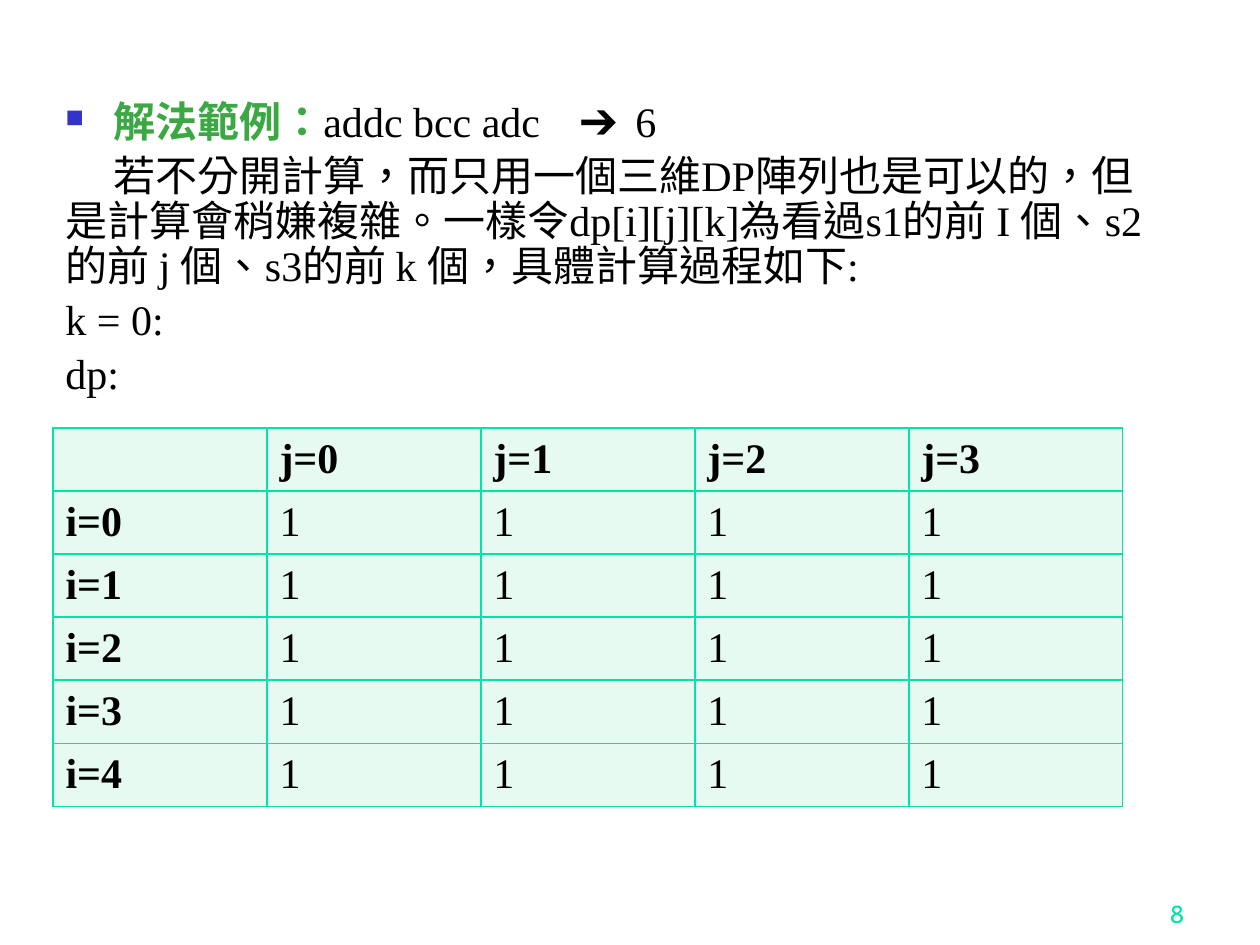
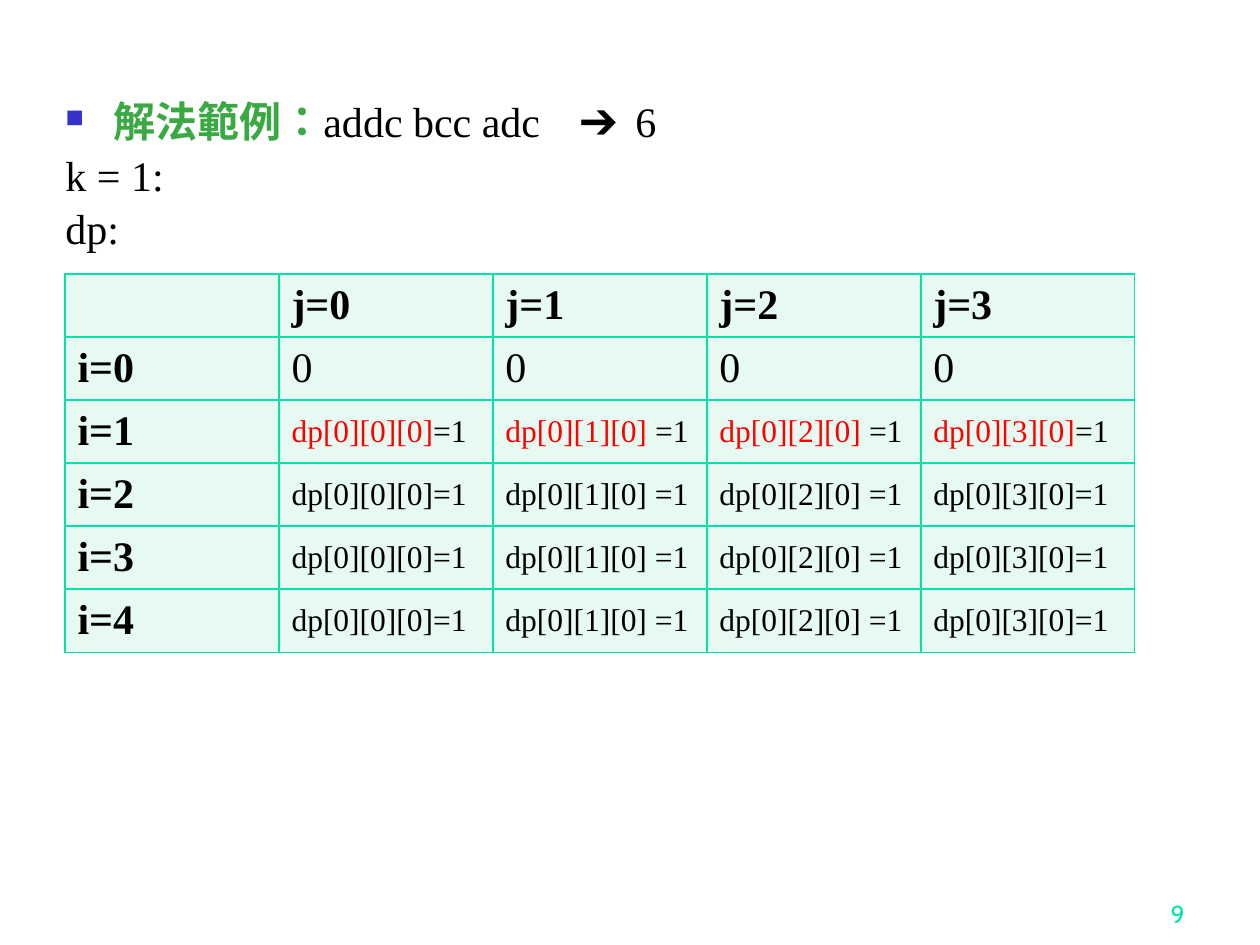
from dataclasses import dataclass

from lxml import etree
from pptx import Presentation
from pptx import util as u
from pptx.dml.color import RGBColor
from pptx.enum import lang, text
from pptx.oxml import ns

EMU_PER_PX = 914400 / 126


@dataclass(frozen=True)
class Theme:
    body_font: str = "Times New Roman"
    number_font: str = "Cabin"
    body_size: int = 24
    formula_size: int = 18
    number_size: int = 14
    ink: str = "000000"
    heading: str = "3BA943"
    bullet: str = "3333CC"
    accent: str = "00E4A8"
    cell: str = "E7FAF1"
    highlight: str = "FF0000"


THEME = Theme()


def px(length):
    return u.Emu(round(length * EMU_PER_PX))


def style_font(font, size, color=THEME.ink, bold=False, name=THEME.body_font):
    font.name = name
    font.size = u.Pt(size)
    font.bold = bold
    font.color.rgb = RGBColor.from_string(color)


def add_element(parent, tag, **attributes):
    return etree.SubElement(parent, ns.qn(tag), attributes)


def add_text_frame(slide, left, top, width, height):
    frame = slide.shapes.add_textbox(px(left), px(top), px(width), px(height)).text_frame
    frame.word_wrap = True
    return frame


def add_run(paragraph, wording):
    run = paragraph.add_run()
    run.text = wording
    run.font.language_id = lang.MSO_LANGUAGE_ID.TRADITIONAL_CHINESE
    return run


def add_bullet(paragraph):
    properties = paragraph._p.get_or_add_pPr()
    properties.set("marL", str(px(48)))
    properties.set("indent", str(-px(48)))
    color = add_element(properties, "a:buClr")
    add_element(color, "a:srgbClr", val=THEME.bullet)
    add_element(properties, "a:buSzPct", val="60000")
    add_element(properties, "a:buChar", char="■")


def add_example_heading(frame):
    paragraph = frame.paragraphs[0]
    add_bullet(paragraph)
    paragraph.line_spacing = 0.9
    label = add_run(paragraph, "解法範例：")
    style_font(label.font, THEME.body_size, THEME.heading, bold=True)
    example = add_run(paragraph, "addc bcc adc\t ➔ 6")
    style_font(example.font, THEME.body_size)


def add_line(frame, wording, first_line_indent=0):
    paragraph = frame.add_paragraph()
    paragraph.line_spacing = 0.9
    paragraph.space_before = u.Pt(4.8)
    if first_line_indent:
        paragraph._p.get_or_add_pPr().set("indent", str(px(first_line_indent)))
    add_run(paragraph, wording)
    style_font(paragraph.font, THEME.body_size)


def add_body(slide, k, explanation=None):
    frame = add_text_frame(slide, 53, 95, 1113, 775)
    add_example_heading(frame)
    if explanation:
        add_line(frame, explanation, first_line_indent=48)
    add_line(frame, f"k = {k}:")
    add_line(frame, "dp:")


def add_page_number(slide, number):
    frame = add_text_frame(slide, 935, 872, 262, 63)
    frame.vertical_anchor = text.MSO_ANCHOR.BOTTOM
    paragraph = frame.paragraphs[0]
    paragraph.text = str(number)
    paragraph.alignment = text.PP_ALIGN.RIGHT
    style_font(paragraph.font, THEME.number_size, THEME.accent, name=THEME.number_font)


def style_cell(cell):
    properties = cell._tc.get_or_add_tcPr()
    for side in ("a:lnL", "a:lnR", "a:lnT", "a:lnB"):
        border = add_element(properties, side, w=str(u.Pt(1)))
        fill = add_element(border, "a:solidFill")
        add_element(fill, "a:srgbClr", val=THEME.accent)
    cell.fill.solid()
    cell.fill.fore_color.rgb = RGBColor.from_string(THEME.cell)
    cell.vertical_anchor = text.MSO_ANCHOR.MIDDLE


def fill_cell(cell, wording, bold, highlighted):
    style_cell(cell)
    paragraph = cell.text_frame.paragraphs[0]
    size = THEME.formula_size if wording.startswith("dp") else THEME.body_size
    if highlighted:
        reference, value = wording.split("=")
        for part, color in ((reference, THEME.highlight), (f"={value}", THEME.ink)):
            run = paragraph.add_run()
            run.text = part
            style_font(run.font, size, color)
    else:
        paragraph.text = wording
        style_font(paragraph.font, size, bold=bold)


def add_dp_table(slide, left, top, values, highlighted_row=None):
    header = [""] + [f"j={j}" for j in range(len(values[0]))]
    rows = [header] + [[f"i={i}"] + row for i, row in enumerate(values)]
    column_width, row_height = 214, 59
    frame = slide.shapes.add_table(
        len(rows), len(header), px(left), px(top),
        px(column_width * len(header)), px(row_height * len(rows)))
    table = frame.table
    for column in table.columns:
        column.width = px(column_width)
    for row_index, row in enumerate(rows):
        table.rows[row_index].height = px(row_height)
        for column_index, wording in enumerate(row):
            is_label = row_index == 0 or column_index == 0
            highlighted = not is_label and row_index - 1 == highlighted_row
            fill_cell(table.cell(row_index, column_index), wording, is_label, highlighted)


def add_slide(presentation, number):
    slide = presentation.slides.add_slide(presentation.slide_layouts[6])
    add_page_number(slide, number)
    return slide


def main():
    presentation = Presentation()
    presentation.slide_width = px(1260)
    presentation.slide_height = px(945)

    slide = add_slide(presentation, 8)
    add_body(slide, 0, "若不分開計算，而只用一個三維DP陣列也是可以的，但是計算會稍嫌複雜。"
                       "一樣令dp[i][j][k]為看過s1的前 I 個、s2的前 j 個、s3的前 k 個，"
                       "具體計算過程如下:")
    add_dp_table(slide, 53, 428, [["1"] * 4 for _ in range(5)])

    slide = add_slide(presentation, 9)
    add_body(slide, 1)
    formulas = [f"dp[0][{j}][0]{' ' if j in (1, 2) else ''}=1" for j in range(4)]
    add_dp_table(slide, 65, 274, [["0"] * 4] + [formulas] * 4, highlighted_row=1)

    presentation.save("out.pptx")


if __name__ == "__main__":
    main()
